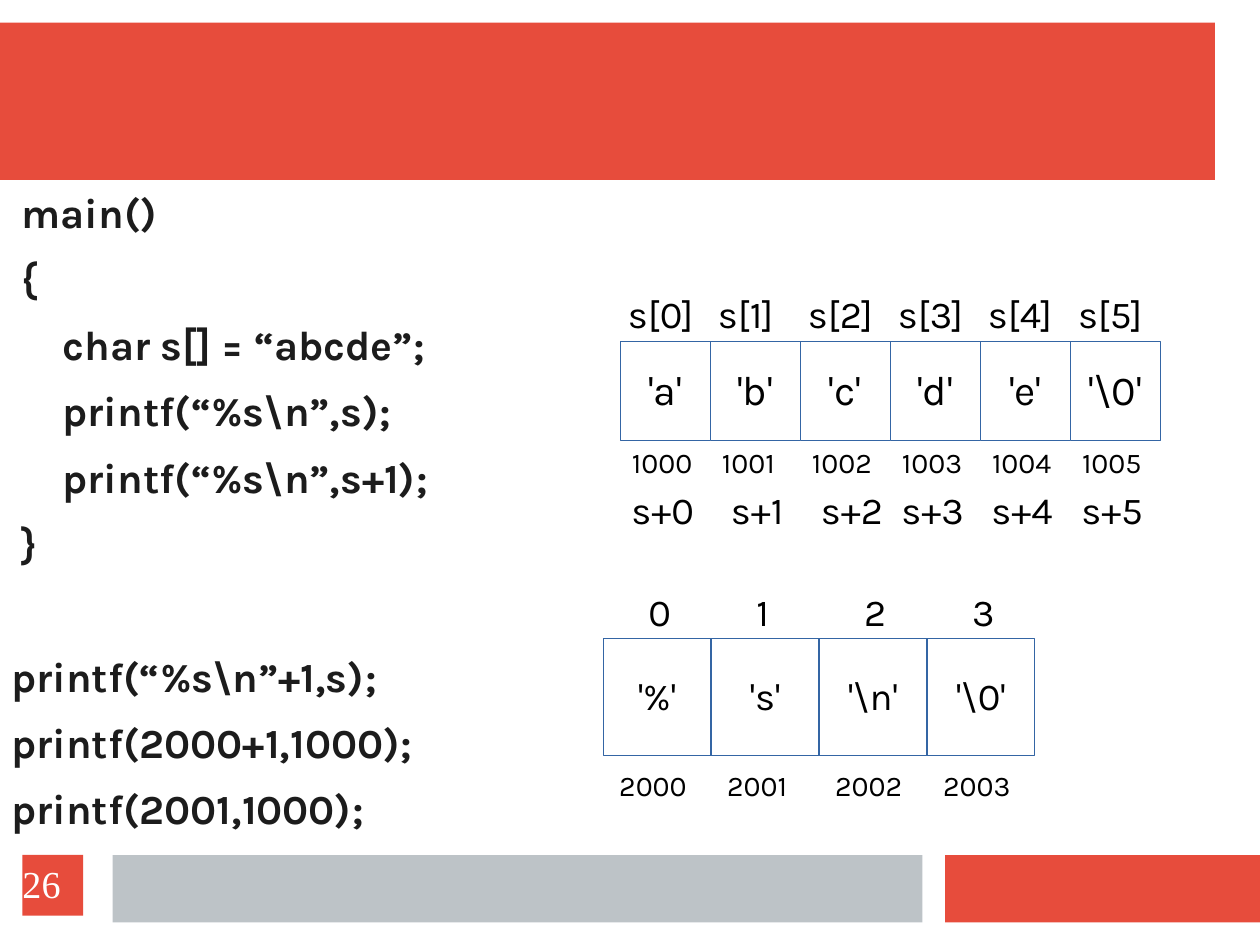
from pptx import Presentation
from pptx.dml.color import RGBColor
from pptx.enum.shapes import MSO_SHAPE
from pptx.enum.text import MSO_ANCHOR, MSO_AUTO_SIZE, PP_ALIGN
from pptx.oxml import parse_xml
from pptx.util import Pt

RED = RGBColor(0xE7, 0x4C, 0x3C)
GRAY = RGBColor(0xBD, 0xC3, 0xC7)
BLUE = RGBColor(0x34, 0x65, 0xA4)
INK = RGBColor(0x1C, 0x1C, 0x1C)
BLACK = RGBColor(0, 0, 0)
WHITE = RGBColor(0xFF, 0xFF, 0xFF)
FONT = "Karla"
LINE_SPACING = 0.97
NO_BULLET = '<a:buNone xmlns:a="http://schemas.openxmlformats.org/drawingml/2006/main"/>'

presentation = Presentation()
presentation.slide_width = Pt(793.7)
presentation.slide_height = Pt(595.3)
slide = presentation.slides.add_slide(presentation.slide_layouts[1])
title = slide.shapes.title
title.element.getparent().remove(title.element)


def add_rectangle(left, top, width, height, fill, line=None):
    shape = slide.shapes.add_shape(
        MSO_SHAPE.RECTANGLE, Pt(left), Pt(top), Pt(width), Pt(height))
    shape.shadow.inherit = False
    shape.fill.solid()
    shape.fill.fore_color.rgb = fill
    if line is None:
        shape.line.fill.background()
    else:
        shape.line.color.rgb = line
        shape.line.width = Pt(0.75)
    return shape


def write(shape, text, size, color=BLACK, font=FONT, align=PP_ALIGN.LEFT, inset=7.2):
    frame = shape.text_frame
    frame.word_wrap = True
    frame.margin_left = Pt(inset)
    paragraph = frame.paragraphs[0]
    paragraph.alignment = align
    paragraph.line_spacing = LINE_SPACING
    run = paragraph.add_run()
    run.text = text
    run.font.size = Pt(size)
    run.font.name = font
    run.font.color.rgb = color


add_rectangle(0, 14.2, 765.4, 99.2, RED)
add_rectangle(595.3, 538.6, 198.4, 42.5, RED)
add_rectangle(70.9, 538.6, 510.2, 42.5, GRAY)

code_lines = [
    ("main()", 7.9, 11.5),
    ("{", 7.9, 11.5),
    ("char s[] = “abcde”;", 33.7, 11.5),
    ("printf(“%s\\n”,s);", 33.7, 11.5),
    ("printf(“%s\\n”,s+1);", 33.7, 11.5),
    ("}", 7.9, 53.2),
    ("printf(“%s\\n”+1,s);", 1.4, 11.5),
    ("printf(2000+1,1000);", 1.4, 11.5),
    ("printf(2001,1000);", 1.4, 11.5),
]
body = slide.placeholders[1]
body.left, body.top, body.width, body.height = Pt(5.7), Pt(118.8), Pt(351.4), Pt(408.2)
frame = body.text_frame
frame.auto_size = MSO_AUTO_SIZE.NONE
frame.word_wrap = True
frame.vertical_anchor = MSO_ANCHOR.TOP
frame.margin_left = frame.margin_right = frame.margin_bottom = 0
frame.margin_top = Pt(0.7)
for number, (text, indent, gap) in enumerate(code_lines):
    paragraph = frame.add_paragraph() if number else frame.paragraphs[0]
    paragraph.alignment = PP_ALIGN.LEFT
    paragraph.line_spacing = LINE_SPACING
    paragraph.space_before = Pt(0)
    paragraph.space_after = Pt(gap)
    properties = paragraph._p.get_or_add_pPr()
    properties.set("marL", str(Pt(indent)))
    properties.set("indent", "0")
    properties.append(parse_xml(NO_BULLET))
    run = paragraph.add_run()
    run.text = text
    run.font.size = Pt(26)
    run.font.name = FONT
    run.font.bold = True
    run.font.color.rgb = INK

arrays = [
    dict(values=["'a'", "'b'", "'c'", "'d'", "'e'", "'\\0'"], label="s[{}]", address=1000,
         left=390.7, top=215.3, pitch=56.7, height=62.4, size=26,
         label_shift=-2.2, label_top=181.4, label_width=60.5,
         address_shift=-8.4, address_top=277.9),
    dict(values=["'%'", "'s'", "'\\n'", "'\\0'"], label="{}", address=2000,
         left=379.9, top=402.5, pitch=68, height=73.7, size=24,
         label_shift=21.4, label_top=368.6, label_width=29.5,
         address_shift=-5.6, address_top=481.7),
]
for array in arrays:
    for index, value in enumerate(array["values"]):
        left = array["left"] + index * array["pitch"]
        cell = add_rectangle(left, array["top"], array["pitch"], array["height"], WHITE, BLUE)
        cell.text_frame.vertical_anchor = MSO_ANCHOR.MIDDLE
        write(cell, value, array["size"], align=PP_ALIGN.CENTER)
        label = slide.shapes.add_textbox(
            Pt(left + array["label_shift"]), Pt(array["label_top"]),
            Pt(array["label_width"]), Pt(36))
        write(label, array["label"].format(index), 24)
        address = slide.shapes.add_textbox(
            Pt(left + array["address_shift"]), Pt(array["address_top"]), Pt(71.3), Pt(28.8))
        write(address, str(array["address"] + index), 18, inset=15.8)

for index, shift in enumerate([0, 6, 6, 0, 0, 0]):
    pointer = slide.shapes.add_textbox(
        Pt(390.7 + index * 56.7 + shift), Pt(304.6), Pt(61.9), Pt(36))
    write(pointer, f"s+{index}", 24)

page_number = add_rectangle(14.2, 538.6, 38.2, 38.2, RED)
page_number.text_frame.vertical_anchor = MSO_ANCHOR.MIDDLE
page_number.text_frame.margin_top = page_number.text_frame.margin_bottom = 0
page_number.text_frame.margin_right = 0
write(page_number, "26", 24, WHITE, "Times New Roman", inset=0)

presentation.save("out.pptx")
